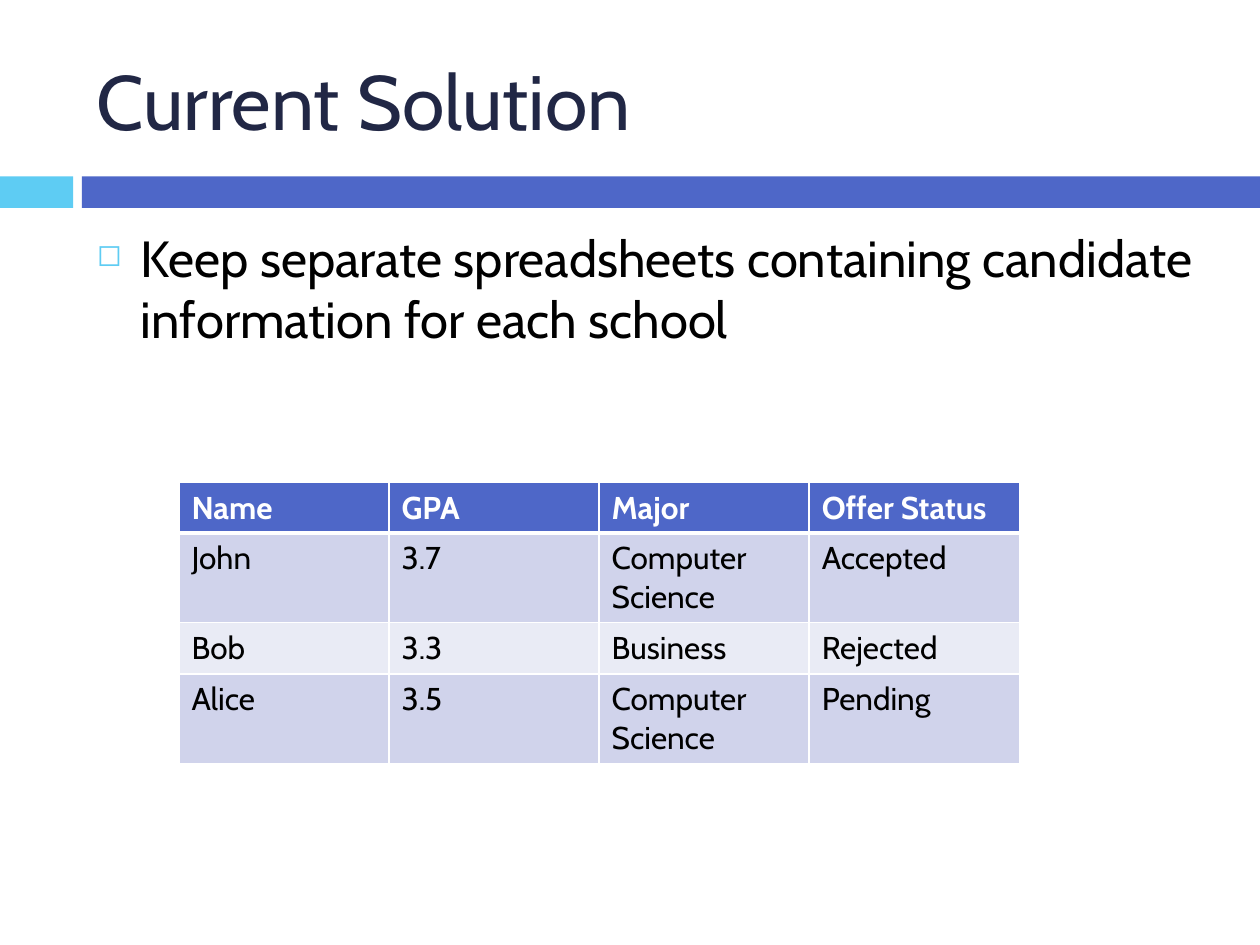
import pptx
import pptx.dml.color
import pptx.enum.shapes
import pptx.enum.text
import pptx.oxml.ns
import pptx.util
from lxml import etree
from pptx.util import Inches

FONT = "Cabin"
COLORS = {
    "accent": "5ECCF3",
    "main": "4E67C8",
    "title": "212745",
    "text": "000000",
    "white": "FFFFFF",
    "band_dark": "D0D3EB",
    "band_light": "E9EBF5",
}


def set_font(paragraph, size, color, bold=False):
    font = paragraph.font
    font.name = FONT
    font.size = pptx.util.Pt(size)
    font.bold = bold
    font.color.rgb = pptx.dml.color.RGBColor.from_string(COLORS[color])


def add_xml(parent, tag, **attributes):
    return etree.SubElement(parent, pptx.oxml.ns.qn(tag), attributes)


presentation = pptx.Presentation()
presentation.slide_width = Inches(10)
presentation.slide_height = Inches(7.5)
slide = presentation.slides.add_slide(presentation.slide_layouts[6])

# Divider bars
for left, width, color in [(0, 0.58, "accent"), (0.65, 9.35, "main")]:
    shape = slide.shapes.add_shape(
        pptx.enum.shapes.MSO_SHAPE.RECTANGLE,
        Inches(left), Inches(1.4), Inches(width), Inches(0.25))
    shape.shadow.inherit = False
    shape.fill.solid()
    shape.fill.fore_color.rgb = pptx.dml.color.RGBColor.from_string(COLORS[color])
    shape.line.fill.background()

# Title and body text
paragraphs = []
for top, height, anchor, text, size, color in [
    (0.25, 1.08, "MIDDLE", "Current Solution", 44, "title"),
    (1.75, 4.92, "TOP",
     "Keep separate spreadsheets containing candidate information for each school",
     29, "text"),
]:
    text_box = slide.shapes.add_textbox(
        Inches(0.67), Inches(top), Inches(8.92), Inches(height))
    text_frame = text_box.text_frame
    text_frame.word_wrap = True
    text_frame.vertical_anchor = pptx.enum.text.MSO_ANCHOR[anchor]
    paragraph = text_frame.paragraphs[0]
    paragraph.text = text
    set_font(paragraph, size, color)
    paragraphs.append(paragraph)

# Square bullet on the body paragraph
body = paragraphs[1]
body.space_before = pptx.util.Pt(7)
properties = body._p.get_or_add_pPr()
properties.set("marL", str(Inches(0.35)))
properties.set("indent", str(-Inches(0.35)))
bullet_color = etree.Element(pptx.oxml.ns.qn("a:buClr"))
add_xml(bullet_color, "a:srgbClr", val=COLORS["accent"])
bullet_size = etree.Element(pptx.oxml.ns.qn("a:buSzPct"), val="60000")
bullet_mark = etree.Element(pptx.oxml.ns.qn("a:buChar"), char="◻")
default_run = properties.find(pptx.oxml.ns.qn("a:defRPr"))
for element in (bullet_color, bullet_size, bullet_mark):
    default_run.addprevious(element)

# Candidate table
rows = [
    ["Name", "GPA", "Major", "Offer Status"],
    ["John", "3.7", "Computer Science", "Accepted"],
    ["Bob", "3.3", "Business", "Rejected"],
    ["Alice", "3.5", "Computer Science", "Pending"],
]
row_heights = [0.39, 0.71, 0.41, 0.71]
row_fills = ["main", "band_dark", "band_light", "band_dark"]
table = slide.shapes.add_table(
    len(rows), len(rows[0]), Inches(1.42), Inches(3.83),
    Inches(6.67), Inches(sum(row_heights))).table

for row_index, values in enumerate(rows):
    table.rows[row_index].height = Inches(row_heights[row_index])
    is_header = row_index == 0
    for column_index, value in enumerate(values):
        cell = table.cell(row_index, column_index)
        cell.text = value
        set_font(cell.text_frame.paragraphs[0], 18,
                 "white" if is_header else "text", is_header)

        # White borders, thicker between the header and the first row
        cell_properties = cell._tc.get_or_add_tcPr()
        for side in "LRTB":
            thick = (row_index, side) in [(0, "B"), (1, "T")]
            line = add_xml(cell_properties, f"a:ln{side}",
                           w=str(pptx.util.Pt(3 if thick else 1)))
            line_fill = add_xml(line, "a:solidFill")
            add_xml(line_fill, "a:srgbClr", val=COLORS["white"])

        cell.fill.solid()
        cell.fill.fore_color.rgb = pptx.dml.color.RGBColor.from_string(
            COLORS[row_fills[row_index]])

presentation.save("out.pptx")
